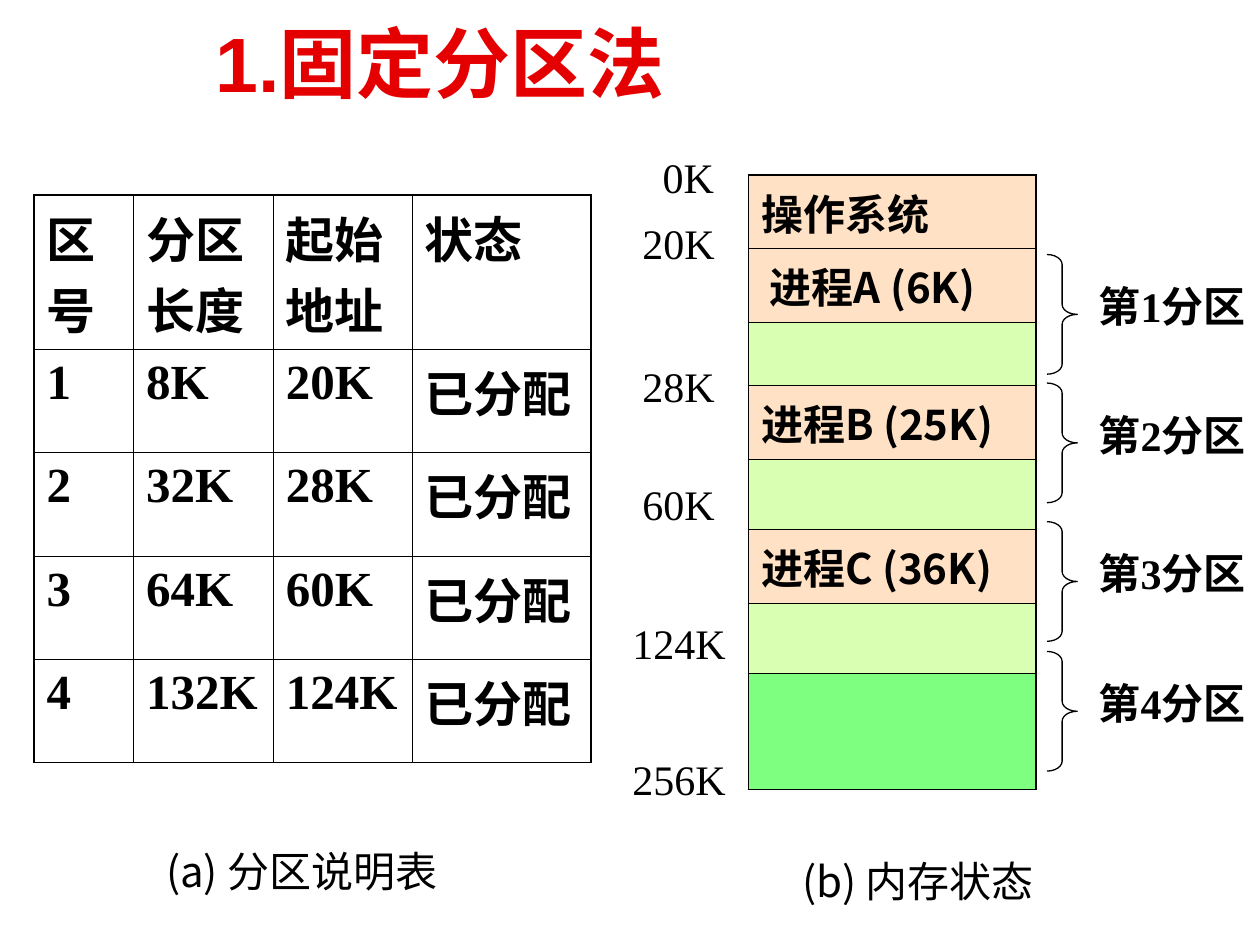
import pptx
import pptx.util
import pptx.dml.color
import pptx.enum.shapes
import pptx.enum.text
import pptx.oxml
import pptx.oxml.ns

Inches = pptx.util.Inches
RGBColor = pptx.dml.color.RGBColor
ALIGN = pptx.enum.text.PP_ALIGN

RED = RGBColor(0xE4, 0x00, 0x00)
BLACK = RGBColor(0x00, 0x00, 0x00)
WHITE = RGBColor(0xFF, 0xFF, 0xFF)
PEACH = RGBColor(0xFF, 0xE2, 0xC5)
LIME = RGBColor(0xD9, 0xFF, 0xB3)
GREEN = RGBColor(0x00, 0xFF, 0x00)

SANS, SERIF, CJK = "Arial", "Times New Roman", "Noto Sans CJK SC"
NS = pptx.oxml.ns.nsdecls("a")


def write(frame, text, font, size, bold=False, color=BLACK, align=ALIGN.LEFT):
    """Write one run into the first paragraph, with a CJK font for Chinese."""
    frame.word_wrap = True
    para = frame.paragraphs[0]
    para.alignment = align
    span = para.add_run()
    span.text = text
    span.font.name = font
    span.font.size = pptx.util.Pt(size)
    span.font.bold = bold
    span.font.color.rgb = color
    east_asian = pptx.oxml.parse_xml(f'<a:ea {NS} typeface="{CJK}"/>')
    span.font._element.find(pptx.oxml.ns.qn("a:latin")).addnext(east_asian)


def add_grid(left, top, widths, heights):
    """Add a plain table with thin inner lines and a heavier outline."""
    rows, cols = len(heights), len(widths)
    table = page.shapes.add_table(
        rows, cols, Inches(left), Inches(top),
        Inches(sum(widths)), Inches(sum(heights))).table
    table.first_row = table.horz_banding = False
    for column, width in zip(table.columns, widths):
        column.width = Inches(width)
    for row, height in zip(table.rows, heights):
        row.height = Inches(height)
    for r in range(rows):
        for c in range(cols):
            cell = table.cell(r, c)
            outer = {"L": c == 0, "R": c == cols - 1,
                     "T": r == 0, "B": r == rows - 1}
            for side, is_outer in outer.items():
                width = pptx.util.Pt(1.08 if is_outer else 0.45)
                cell._tc.get_or_add_tcPr().append(pptx.oxml.parse_xml(
                    f'<a:ln{side} {NS} w="{width}"><a:solidFill>'
                    f'<a:srgbClr val="{BLACK}"/></a:solidFill></a:ln{side}>'))
            cell.fill.background()
    return table


deck = pptx.Presentation()
deck.slide_width, deck.slide_height = Inches(10), Inches(7.5)
page = deck.slides.add_slide(deck.slide_layouts[5])

# Title
title = page.shapes.title
title.left, title.top = Inches(1.61), Inches(0.08)
title.width, title.height = Inches(7.72), Inches(0.82)
title.fill.solid()
title.fill.fore_color.rgb = WHITE
title.text_frame.auto_size = pptx.enum.text.MSO_AUTO_SIZE.NONE
title.text_frame.vertical_anchor = pptx.enum.text.MSO_ANCHOR.MIDDLE
write(title.text_frame, "1.固定分区法", SANS, 44, True, RED)

# Partition table
partitions = [
    ("区号", "分区长度", "起始地址", "状态"),
    ("1", "8K", "20K", "已分配"),
    ("2", "32K", "28K", "已分配"),
    ("3", "64K", "60K", "已分配"),
    ("4", "132K", "124K", "已分配"),
]
partition_table = add_grid(0.27, 1.55, [0.79, 1.11, 1.1, 1.42],
                           [1.22] + [0.82] * 4)
for r, values in enumerate(partitions):
    for c, value in enumerate(values):
        font = SERIF if value.isascii() else SANS
        write(partition_table.cell(r, c).text_frame, value, font, 28, True)

# Memory map
blocks = [
    ("操作系统", 0.56, PEACH),
    ("进程A (6K)", 0.55, PEACH),
    ("", 0.5, LIME),
    ("进程B (25K)", 0.56, PEACH),
    ("", 0.56, LIME),
    ("进程C (36K)", 0.56, PEACH),
    ("", 0.56, LIME),
    ("", 0.92, GREEN),
]
memory_table = add_grid(5.94, 1.39, [2.28], [height for _, height, _ in blocks])
for r, (text, _, color) in enumerate(blocks):
    cell = memory_table.cell(r, 0)
    cell.fill.solid()
    cell.fill.fore_color.rgb = color
    if text:
        write(cell.text_frame, text, CJK, 24, True)
memory_table.cell(1, 0).margin_left = Inches(0.17)

# The free block at the end is half transparent
free_color = memory_table.cell(7, 0)._tc.tcPr.find(
    pptx.oxml.ns.qn("a:solidFill"))[0]
free_color.append(pptx.oxml.parse_xml(f'<a:alpha {NS} val="50000"/>'))

# Addresses, partition names and captions
labels = [
    ("0K", 5.16, 1.15, 0.69, SERIF, False, ALIGN.LEFT),
    ("20K", 5, 1.68, 0.85, SERIF, False, ALIGN.LEFT),
    ("28K", 5, 2.81, 0.85, SERIF, False, ALIGN.LEFT),
    ("60K", 5, 3.75, 0.85, SERIF, False, ALIGN.LEFT),
    ("124K", 4.92, 4.85, 1.01, SERIF, False, ALIGN.LEFT),
    ("256K", 4.92, 5.93, 1.01, SERIF, False, ALIGN.LEFT),
    ("(a) 分区说明表", 0.9, 6.66, 2.99, CJK, False, ALIGN.CENTER),
    ("(b) 内存状态", 5.79, 6.74, 2.99, CJK, False, ALIGN.CENTER),
]

# Braces beside the partitions
for number, top in enumerate([2.02, 3.04, 4.14, 5.17], start=1):
    brace = page.shapes.add_shape(
        pptx.enum.shapes.MSO_SHAPE.RIGHT_BRACE,
        Inches(8.31), Inches(top), Inches(0.24), Inches(0.95))
    brace.shadow.inherit = False
    brace.adjustments[0] = 0.33
    brace.fill.background()
    brace.line.color.rgb = BLACK
    brace.line.width = pptx.util.Pt(0.75)
    labels.append((f"第{number}分区", 8.62, top + 0.16, 1.38,
                   SERIF, True, ALIGN.LEFT))

for text, left, top, width, font, bold, align in labels:
    height = 0.9 if bold else 0.5
    box = page.shapes.add_textbox(Inches(left), Inches(top),
                                  Inches(width), Inches(height))
    write(box.text_frame, text, font, 24, bold, align=align)

deck.save("out.pptx")
